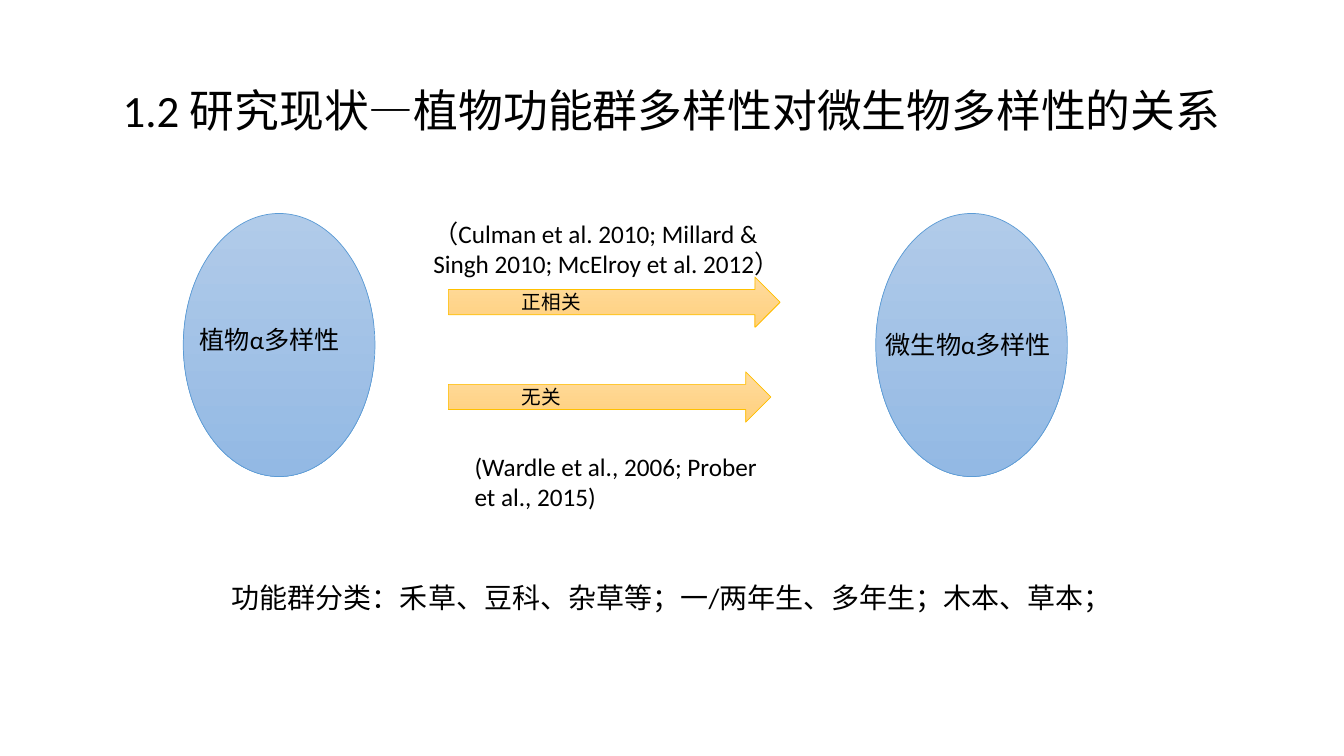
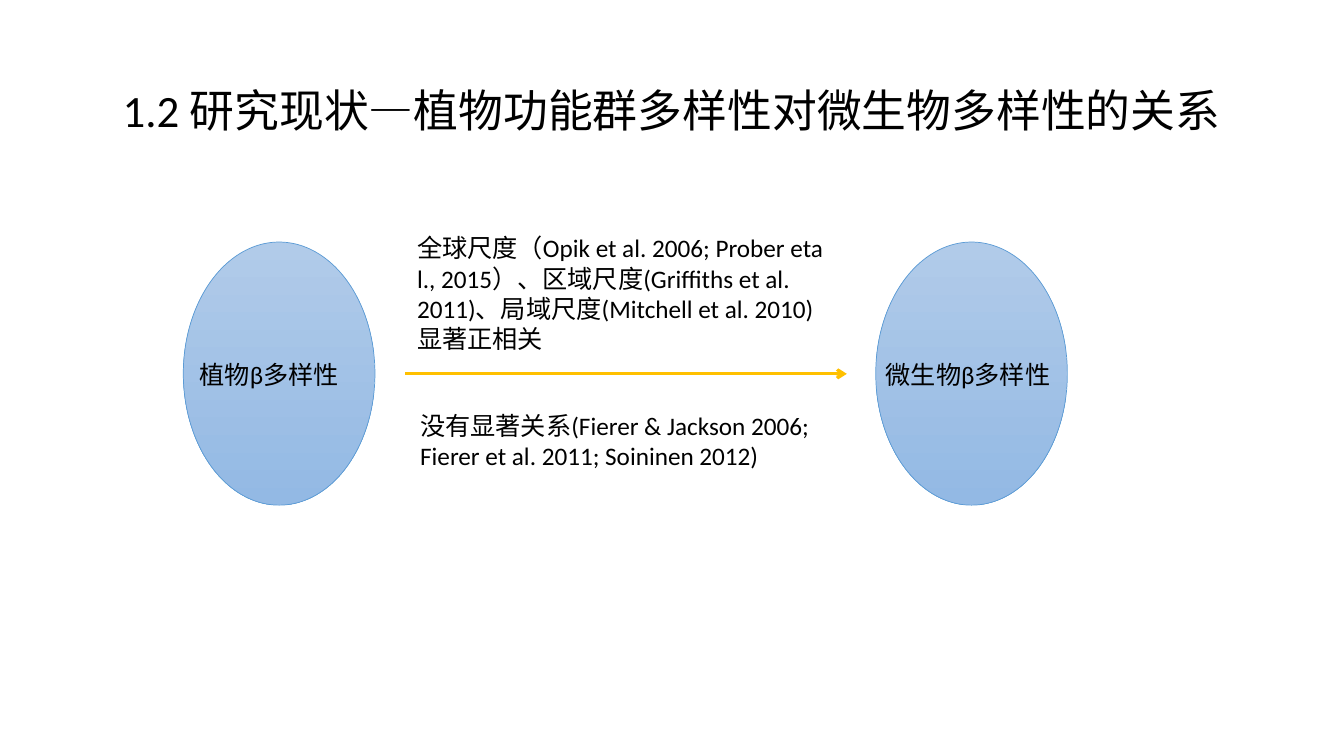
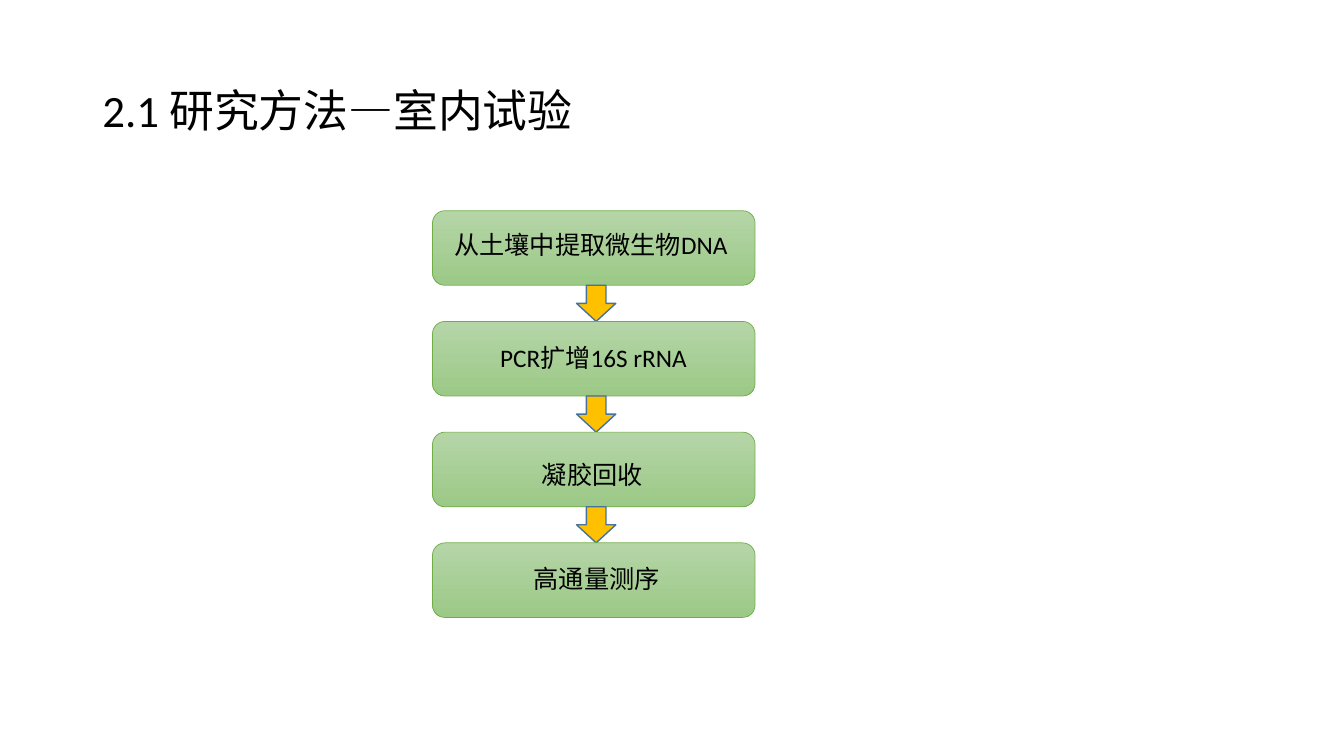
from lxml import etree
from pptx import Presentation
from pptx.dml.color import RGBColor
from pptx.enum.shapes import MSO_CONNECTOR, MSO_SHAPE
from pptx.enum.text import MSO_ANCHOR, MSO_AUTO_SIZE, PP_ALIGN
from pptx.oxml.ns import qn
from pptx.util import Cm, Pt

ELLIPSE = MSO_SHAPE.OVAL
RIGHT_ARROW = MSO_SHAPE.RIGHT_ARROW
DOWN_ARROW = MSO_SHAPE.DOWN_ARROW
STEP_BOX = MSO_SHAPE.FLOWCHART_ALTERNATE_PROCESS
STRAIGHT = MSO_CONNECTOR.STRAIGHT
LEFT, CENTER = PP_ALIGN.LEFT, PP_ALIGN.CENTER
TOP, MIDDLE = MSO_ANCHOR.TOP, MSO_ANCHOR.MIDDLE
GROW = MSO_AUTO_SIZE.SHAPE_TO_FIT_TEXT
FIXED = MSO_AUTO_SIZE.NONE

FONT = "Calibri"
COLORS = {
    "text": "000000",
    "blue_light": "B1CBE9",
    "blue_dark": "93B9E4",
    "blue_line": "5B9BD5",
    "orange_light": "FFDB9E",
    "orange_dark": "FFD07C",
    "amber": "FFC000",
    "green_light": "B5D5A7",
    "green_dark": "9CC987",
    "green_line": "70AD47",
    "navy_line": "43739E",
}
BLUE = ("blue_light", "blue_dark")
ORANGE = ("orange_light", "orange_dark")
GREEN = ("green_light", "green_dark")
ELLIPSE_LEFTS = (4.62, 22.07)
DIVERSITY_TITLE = "1.2 研究现状—植物功能群多样性对微生物多样性的关系"


def add_text(page, text, left, top, width, height=1.02, size=18, align=LEFT,
             anchor=TOP, spacing=1.0, fit=GROW):
    box = page.shapes.add_textbox(Cm(left), Cm(top), Cm(width), Cm(height))
    frame = box.text_frame
    frame.word_wrap = True
    frame.auto_size = fit
    frame.vertical_anchor = anchor
    para = frame.paragraphs[0]
    para.alignment = align
    para.line_spacing = spacing
    span = para.add_run()
    span.text = text
    span.font.name = FONT
    span.font.size = Pt(size)
    span.font.color.rgb = RGBColor.from_string(COLORS["text"])


def add_figure(page, kind, left, top, width, height, fill, line, weight=0.5):
    figure = page.shapes.add_shape(kind, Cm(left), Cm(top), Cm(width), Cm(height))
    figure.shadow.inherit = False
    if len(fill) == 2:
        figure.fill.gradient()
        figure.fill.gradient_angle = 270
        for stop, name in zip(figure.fill.gradient_stops, fill):
            stop.color.rgb = RGBColor.from_string(COLORS[name])
    else:
        figure.fill.solid()
        figure.fill.fore_color.rgb = RGBColor.from_string(COLORS[fill[0]])
    figure.line.color.rgb = RGBColor.from_string(COLORS[line])
    figure.line.width = Pt(weight)


deck = Presentation()
deck.slide_width = Cm(33.87)
deck.slide_height = Cm(19.05)
blank = deck.slide_layouts[6]

pages = []
for title, align in (
    (DIVERSITY_TITLE, CENTER),
    (DIVERSITY_TITLE, CENTER),
    ("2.1 研究方法—室内试验", LEFT),
):
    page = deck.slides.add_slide(blank)
    add_text(page, title, 2.33, 1.01, 29.21, 3.68, 32, align, MIDDLE, 0.9, FIXED)
    pages.append(page)
alpha_page, beta_page, method_page = pages

for page, top in ((alpha_page, 5.38), (beta_page, 6.1)):
    for left in ELLIPSE_LEFTS:
        add_figure(page, ELLIPSE, left, top, 4.83, 6.63, BLUE, "blue_line")

for page, symbol, plant_top, microbe_top in (
    (alpha_page, "α", 8.05, 8.18),
    (beta_page, "β", 8.92, 8.92),
):
    add_text(page, f"植物{symbol}多样性", 4.78, plant_top, 4.5)
    add_text(page, f"微生物{symbol}多样性", 22.07, microbe_top, 5.11)

for relation, top, width in (("正相关", 6.98, 8.36), ("无关", 9.37, 8.13)):
    add_figure(alpha_page, RIGHT_ARROW, 11.3, top, width, 1.27, ORANGE, "amber")
    add_text(alpha_page, relation, 12.9, top + 0.21, 2.9, 0.84, 14)

add_text(alpha_page, "（Culman et al. 2010; Millard & Singh 2010; McElroy et al. 2012）",
         10.67, 5.38, 9.83, 1.78)
add_text(alpha_page, "(Wardle et al., 2006; Prober et al., 2015)", 11.71, 11.25, 7.95, 1.78)
add_text(alpha_page, "功能群分类：禾草、豆科、杂草等；一/两年生、多年生；木本、草本；",
         2.33, 14.6, 29.21, 2.54, 20, CENTER, TOP, 0.9, FIXED)

add_text(beta_page,
         "全球尺度（Opik et al. 2006; Prober eta l., 2015）、区域尺度"
         "(Griffiths et al. 2011)、局域尺度(Mitchell et al. 2010)显著正相关",
         10.26, 5.74, 11, 3.3)
add_text(beta_page, "没有显著关系(Fierer & Jackson 2006; Fierer et al. 2011; Soininen 2012)",
         10.34, 10.21, 10.82, 1.78)
link = beta_page.shapes.add_connector(STRAIGHT, Cm(10.21), Cm(9.42), Cm(21.34), Cm(9.42))
link.line.color.rgb = RGBColor.from_string(COLORS["amber"])
link.line.width = Pt(2.25)
etree.SubElement(link.line._get_or_add_ln(), qn("a:tailEnd"), type="arrow")
etree.SubElement(link._element.spPr, qn("a:effectLst"))

steps = (
    ("从土壤中提取微生物DNA", 10.9, 5.66, 7.98),
    ("PCR扩增16S rRNA", 11.35, 8.51, 7.21),
    ("凝胶回收", 11.28, 11.46, 7.29),
    ("高通量测序", 11.66, 14.07, 6.76),
)
step_height, step_pitch = 1.88, 2.79
for index, (step, left, label_top, width) in enumerate(steps):
    top = 5.31 + index * step_pitch
    add_figure(method_page, STEP_BOX, 10.9, top, 8.13, step_height, GREEN, "green_line")
    add_text(method_page, step, left, label_top, width, align=CENTER)
    if index < len(steps) - 1:
        add_figure(method_page, DOWN_ARROW, 14.53, top + step_height, 0.99,
                   step_pitch - step_height, ("amber",), "navy_line", 1)

deck.save("out.pptx")
